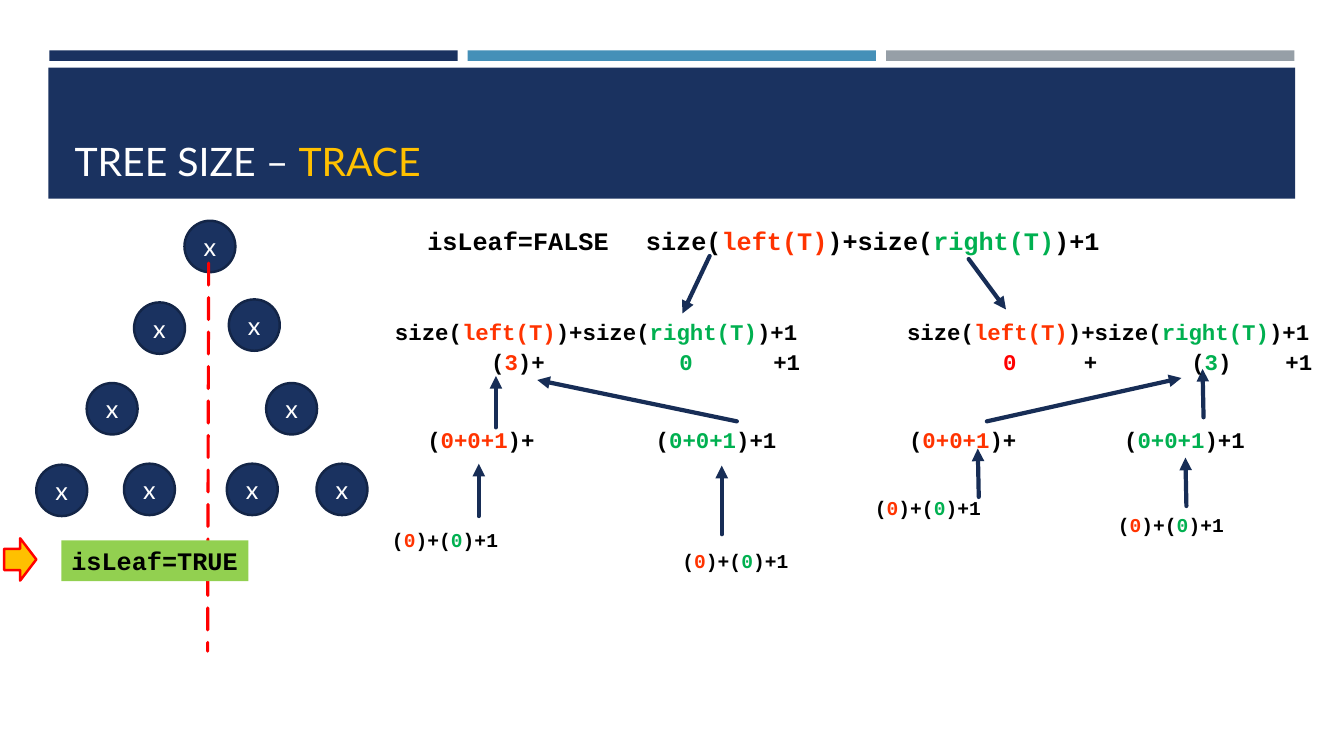
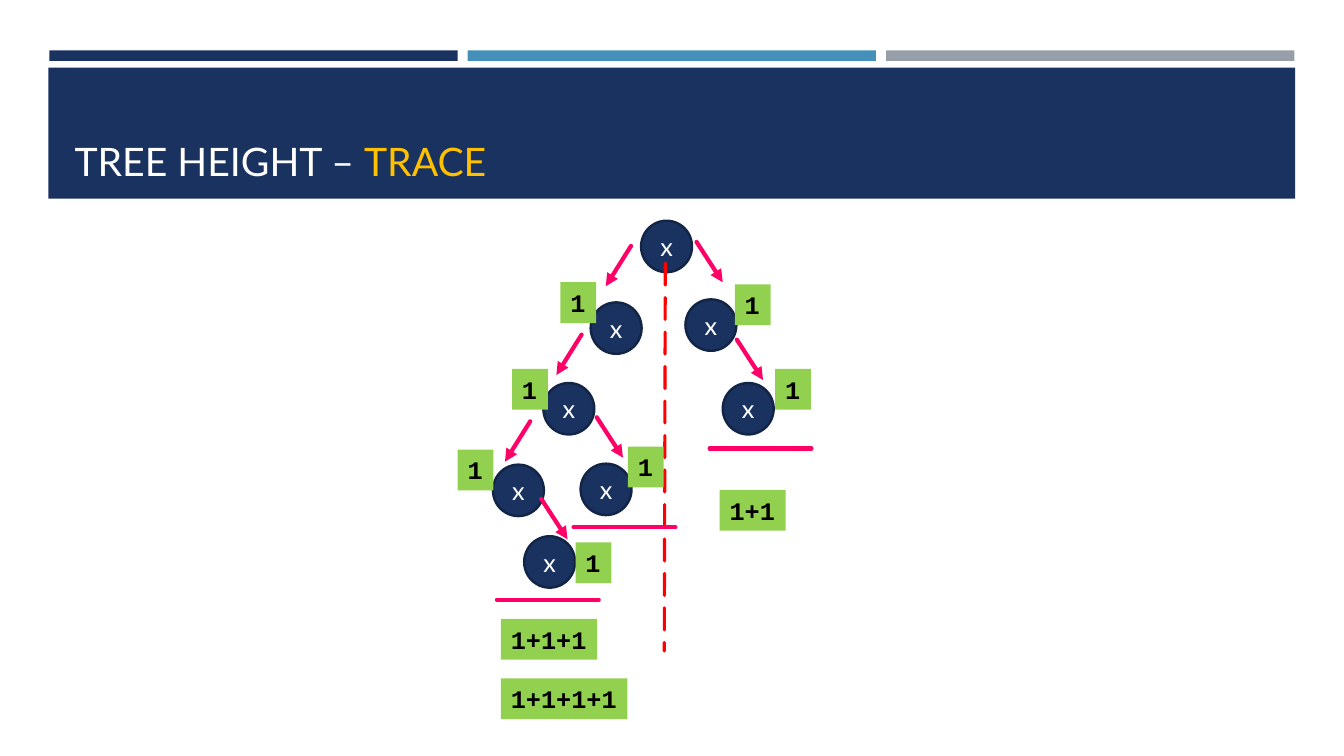
from dataclasses import dataclass

from lxml import etree
from pptx import Presentation
from pptx.dml.color import RGBColor
from pptx.enum.dml import MSO_LINE
from pptx.enum.shapes import MSO_CONNECTOR, MSO_SHAPE
from pptx.enum.text import MSO_ANCHOR, MSO_AUTO_SIZE, PP_ALIGN
from pptx.oxml.ns import qn
from pptx.util import Inches, Pt

RECTANGLE, OVAL, RIGHT_ARROW = MSO_SHAPE.RECTANGLE, MSO_SHAPE.OVAL, MSO_SHAPE.RIGHT_ARROW
STRAIGHT, LONG_DASH = MSO_CONNECTOR.STRAIGHT, MSO_LINE.LONG_DASH
LEFT, CENTER = PP_ALIGN.LEFT, PP_ALIGN.CENTER
TOP, MIDDLE, BOTTOM = MSO_ANCHOR.TOP, MSO_ANCHOR.MIDDLE, MSO_ANCHOR.BOTTOM
FIXED = MSO_AUTO_SIZE.NONE


@dataclass(frozen=True)
class Theme:
    navy: str = "1A3260"
    blue: str = "4590B8"
    gray: str = "969FA7"
    node_edge: str = "132547"
    arrow: str = "172D56"
    white: str = "FFFFFF"
    black: str = "000000"
    gold: str = "FFC000"
    left: str = "FF3300"
    right: str = "00B050"
    red: str = "FF0000"
    pink: str = "FF0066"
    tag: str = "92D050"
    heading_font: str = "Lato"
    code_font: str = "Courier New"
    title_size: int = 28
    main_size: int = 18
    step_size: int = 16
    leaf_size: int = 14
    thin: float = 1.75
    dashed: float = 2.25
    thick: float = 3


theme = Theme()
CELL = Inches(0.1)
COLUMNS, ROWS = 133.33, 75


def add_runs(frame, spans, size, font=theme.code_font, align=LEFT, anchor=TOP, wrap=True):
    frame.word_wrap = wrap
    frame.auto_size = FIXED
    frame.vertical_anchor = anchor
    para = frame.paragraphs[0]
    para.alignment = align
    for text, color in spans:
        span = para.add_run()
        span.text = text
        span.font.name = font
        span.font.size = Pt(size)
        span.font.bold = font == theme.code_font
        span.font.color.rgb = RGBColor.from_string(color)
    return para


def add_line(page, ends, color, width=theme.thick, arrow=True, dash=None):
    line = page.shapes.add_connector(STRAIGHT, *[round(end * CELL) for end in ends])
    line.line.color.rgb = RGBColor.from_string(color)
    line.line.width = Pt(width)
    if dash:
        line.line.dash_style = dash
    outline = line.line._get_or_add_ln()
    outline.set("cap", "rnd")
    if arrow:
        etree.SubElement(outline, qn("a:tailEnd"), type="triangle")
    etree.SubElement(line.element.spPr, qn("a:effectLst"))


deck = Presentation()
deck.slide_width, deck.slide_height = round(COLUMNS * CELL), ROWS * CELL
layout = deck.slide_layouts[5]
size_page, height_page = [deck.slides.add_slide(layout) for _ in range(2)]

title_area = layout.placeholders[0]
title_area.left, title_area.top, title_area.width, title_area.height = [
    round(length * CELL) for length in (6.4, 7.7, 120.6, 11.1)]

bands = [(4.9 + 41.5 * index, 5, 40.5, 1.05, color)
         for index, color in enumerate((theme.navy, theme.blue, theme.gray))]
bands.append((4.8, 6.7, 123.7, 13, theme.navy))
for index, (*area, color) in enumerate(bands):
    band = size_page.shapes.add_shape(RECTANGLE, *[round(length * CELL) for length in area])
    band.shadow.inherit = False
    band.fill.solid()
    band.fill.fore_color.rgb = RGBColor.from_string(color)
    band.line.fill.background()
    band.element.nvSpPr.cNvPr.set("id", str(100 + index))
    layout.shapes.element.insert(2 + index, band.element)

shared_nodes = [(3.6, 46.1), (8.6, 38), (13.3, 30), (26.4, 38),
                (22.7, 29.7), (18.3, 21.9), (12.3, 46)]
size_nodes = shared_nodes + [(31.4, 46), (22.5, 46)]
height_nodes = shared_nodes + [(6.7, 53.2)]

size_arrows = [
    (70.4, 25.4, 67.7, 31.1), (96.1, 25.7, 99.8, 30.7), (47.5, 51.2, 47.5, 46),
    (71.6, 53, 71.6, 46.2), (97.1, 49.3, 97, 44.5), (117.7, 50.2, 117.6, 45.4),
    (49.2, 42.4, 49.2, 37.3), (73.1, 41.8, 53.3, 37.7), (97.9, 41.8, 117.2, 37.5),
    (119.4, 41.4, 119.3, 36.6)]
left_steps = [(62.6, 24.4), (57.7, 33.2), (52.6, 41.8)]
right_steps = [(69.1, 24), (73.1, 33.7), (59.2, 41.4), (53.7, 49.5)]
height_arrows = [(x, y, x - 2.5, y + 4) for x, y in left_steps]
height_arrows += [(x, y, x + 2.6, y + 4) for x, y in right_steps]

size_tags = [(6.1, 53.6, "isLeaf=TRUE")]
height_tags = [(72.9, 28.2, "1"), (55.6, 28, "1"), (76.9, 36.6, "1"), (50.8, 36.6, "1"),
               (62.3, 44.3, "1"), (45.4, 44.6, "1"), (57.1, 53.8, "1"),
               (49.7, 61.4, "1+1+1"), (49.7, 67.3, "1+1+1+1"), (71.4, 48.6, "1+1")]

for page, topic, shift, nodes, arrows, arrow_color, tags in (
        (size_page, "SIZE", 0, size_nodes, size_arrows, theme.arrow, size_tags),
        (height_page, "HEIGHT", 45.3, height_nodes, height_arrows, theme.pink, height_tags)):
    add_runs(page.shapes.title.text_frame,
             [(f"TREE {topic} – ", theme.white), ("TRACE", theme.gold)],
             theme.title_size, theme.heading_font, anchor=BOTTOM)
    for x, y in nodes:
        node = page.shapes.add_shape(
            OVAL, *[round(length * CELL) for length in (x + shift, y, 5.05, 5.1)])
        node.shadow.inherit = False
        node.fill.solid()
        node.fill.fore_color.rgb = RGBColor.from_string(theme.navy)
        node.line.color.rgb = RGBColor.from_string(theme.node_edge)
        node.line.width = Pt(theme.thin)
        add_runs(node.text_frame, [("x", theme.white)], theme.main_size,
                 theme.heading_font, CENTER, MIDDLE)
    add_line(page, (20.7 + shift, 26.1, 20.6 + shift, 64.6), theme.red, theme.dashed,
             arrow=False, dash=LONG_DASH)
    for ends in arrows:
        add_line(page, ends, arrow_color)
    for x, y, text in tags:
        tag = page.shapes.add_textbox(
            *[round(length * CELL) for length in (x, y, 2.05 + 1.5 * len(text), 4.05)])
        tag.fill.solid()
        tag.fill.fore_color.rgb = RGBColor.from_string(theme.tag)
        add_runs(tag.text_frame, [(text, theme.black)], theme.main_size, wrap=False)

for x, y in ((70.4, 44.5), (56.9, 52.3), (49.3, 59.5)):
    add_line(height_page, (x, y, x + 10.1, y), theme.pink, arrow=False)

pointer = size_page.shapes.add_shape(
    RIGHT_ARROW, *[round(length * CELL) for length in (0.4, 53.4, 3.2, 4.2)])
pointer.shadow.inherit = False
pointer.fill.solid()
pointer.fill.fore_color.rgb = RGBColor.from_string(theme.gold)
pointer.line.color.rgb = RGBColor.from_string(theme.red)
pointer.line.width = Pt(theme.thin)

black, left, right = theme.black, theme.left, theme.right
recursion = [("size(", black), ("left(T)", left), (")+size(", black),
             ("right(T)", right), (")+1", black)]
leaf_sum = [("(", black), ("0", left), (")+(", black), ("0", right), (")+1", black)]
child_sums = [("(", black), ("0+0+1", left), (")+\t(", black),
              ("0+0+1", right), (")+1", black)]
left_total = [("\t(", black), ("3", left), (")+\t", black), ("0", right), ("\t+1", black)]
right_total = [("\t", black), ("0", theme.red), ("\t+\t(", black),
               ("3", right), (")\t+1", black)]

formulas = [
    (41.4, 21.9, 20.1, theme.main_size, [("isLeaf=FALSE", black)], ()),
    (63.1, 21.9, 47.5, theme.main_size, recursion, ()),
    (38.2, 31.1, 43.1, theme.step_size, recursion, ()),
    (89, 31.1, 43.1, theme.step_size, recursion, ()),
    (38.4, 34, 43.1, theme.step_size, left_total, (7, 21, 28)),
    (89.2, 34, 43.1, theme.step_size, right_total, (7, 13, 21, 28)),
    (41.4, 41.8, 37.9, theme.step_size, child_sums, (17,)),
    (89.2, 41.8, 43.1, theme.step_size, child_sums, (16,)),
    (37.9, 51.9, 17.1, theme.leaf_size, leaf_sum, ()),
    (66.7, 54, 17.1, theme.leaf_size, leaf_sum, ()),
    (85.8, 48.7, 13.8, theme.leaf_size, leaf_sum, ()),
    (109.9, 50.4, 17.1, theme.leaf_size, leaf_sum, ())]
for x, y, width, size, spans, stops in formulas:
    box = size_page.shapes.add_textbox(
        *[round(length * CELL) for length in (x, y, width, size / 5 + 0.5)])
    para = add_runs(box.text_frame, spans, size)
    if stops:
        tabs = etree.SubElement(para._p.get_or_add_pPr(), qn("a:tabLst"))
        for stop in stops:
            etree.SubElement(tabs, qn("a:tab"), pos=str(round(stop * Pt(size) * 0.6)), algn="l")

deck.save("out.pptx")
